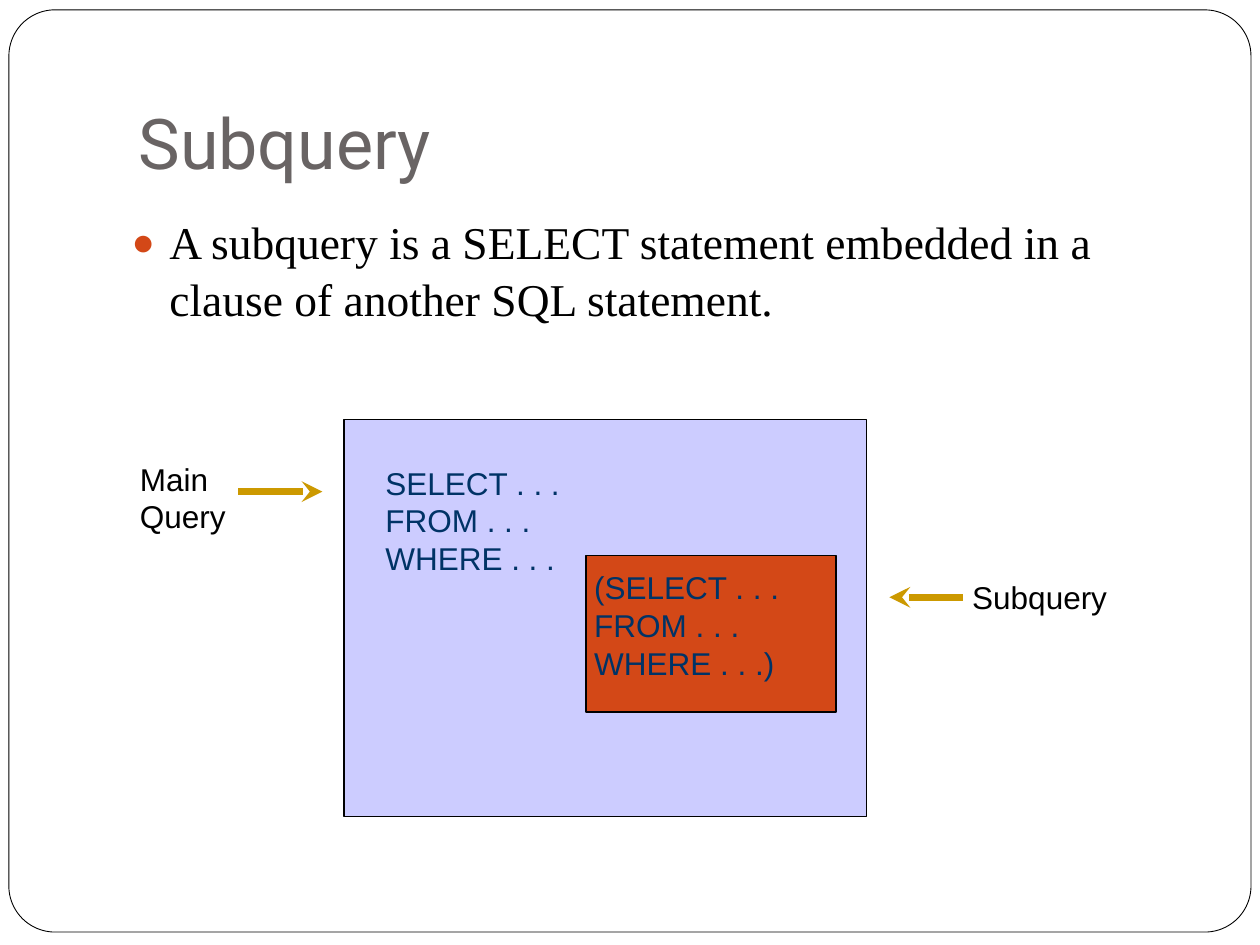
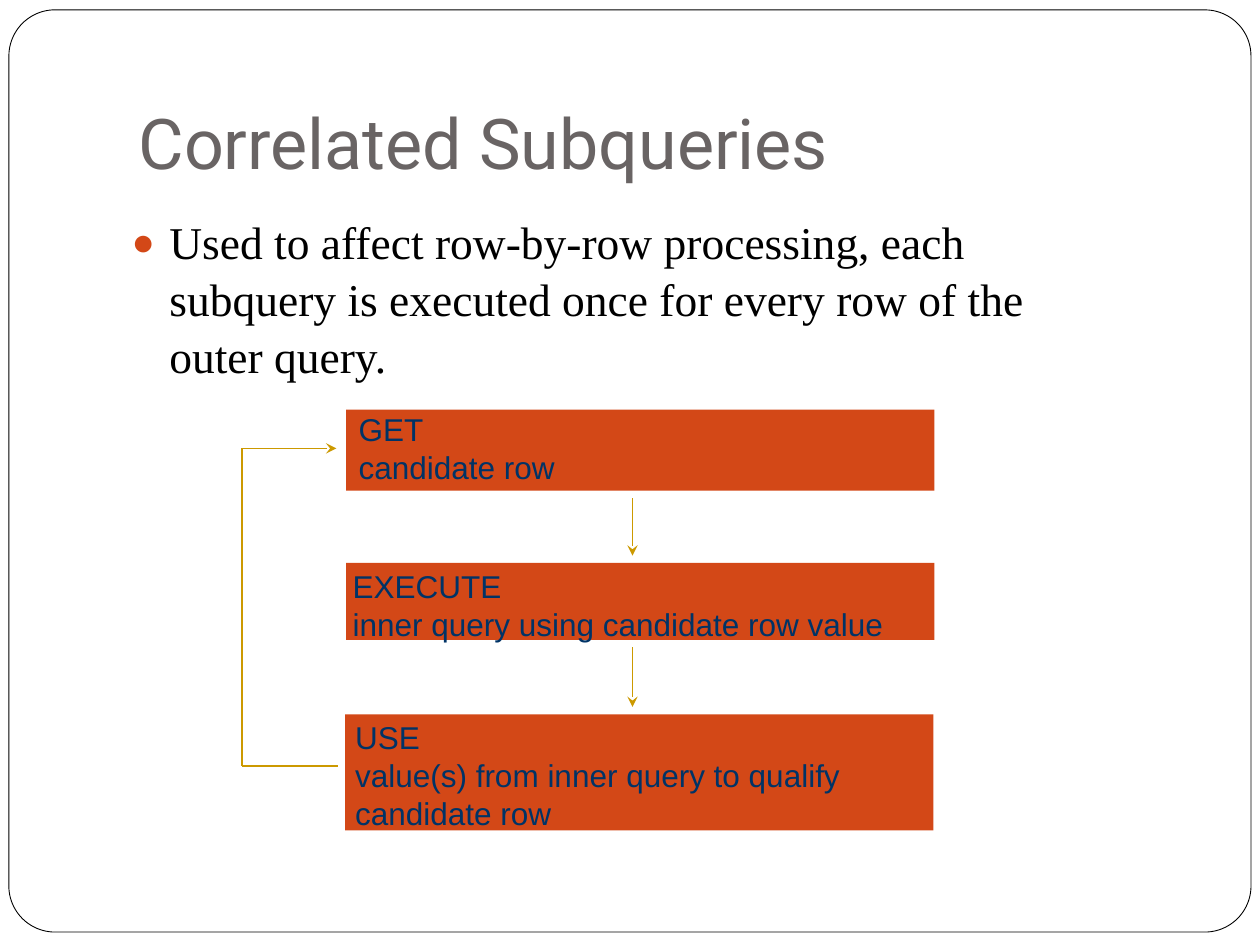
import dataclasses
import itertools

import lxml.etree
import pptx
import pptx.dml.color
import pptx.enum.shapes
import pptx.enum.text
import pptx.oxml.ns
import pptx.util

Cm = pptx.util.Cm
Pt = pptx.util.Pt


@dataclasses.dataclass(frozen=True)
class Theme:
    paper: str = "FFFFFF"
    ink: str = "000000"
    title: str = "696464"
    accent: str = "D34817"
    panel: str = "CCCCFF"
    code: str = "003366"
    arrow: str = "CC9900"
    title_font: str = "Roboto"
    body_font: str = "Times New Roman"
    label_font: str = "Arial"
    title_size: int = 40
    body_size: int = 26
    label_size: int = 18
    thin: float = 0.5
    line: int = 1
    thick: int = 4


THEME = Theme()

FRAME = (0.18, 0.2, 25.04, 18.59)
TITLE = (2.54, 0.76, 21.59, 3.18)
BODY = (2.4, 4.15, 20.55, 3.63)

SUBQUERY = {
    "title": "Subquery",
    "body": "A subquery is a SELECT statement embedded in a clause of another SQL statement.",
    "queries": [
        ((6.93, 8.46, 10.54, 8), THEME.panel,
         (7.52, 9.22, 4.24, 2.54), ["SELECT . . .", "FROM . . .", "WHERE . . ."]),
        ((11.81, 11.2, 5.05, 3.15), THEME.accent,
         (11.73, 11.33, 4.29, 2.54), ["(SELECT . . .", "FROM . . .", "WHERE . . .)"]),
    ],
    "labels": [
        ((2.57, 9.14, 2.34, 1.78), ["Main", "Query"]),
        ((19.35, 11.53, 3.43, 1.02), ["Subquery"]),
    ],
    "arrows": [((4.8, 9.91), (6.5, 9.91)), ((19.41, 12.04), (17.93, 12.04))],
}

CORRELATED = {
    "title": "Correlated Subqueries",
    "body": "Used to affect row-by-row processing, each subquery is executed once "
            "for every row of the outer query.",
    "bar_width": 11.86,
    "steps": [
        ((6.98, 8.26), 1.63, (6.98, 8.15), ["GET", "candidate row"]),
        ((6.98, 11.35), 1.55, (6.86, 11.3), ["EXECUTE", "inner query using candidate row value"]),
        ((6.96, 14.4), 2.34, (6.91, 14.35),
         ["USE", "value(s) from inner query to qualify candidate row"]),
    ],
    "arrow_x": 12.75,
    "arrow_gap": 0.15,
    "loop": [(6.81, 15.44), (4.88, 15.44), (4.88, 9.04), (6.78, 9.04)],
}


def rgb(color):
    return pptx.dml.color.RGBColor.from_string(color)


def cm(lengths):
    return [Cm(length) for length in lengths]


def style(frame, font, size, color):
    for para in frame.paragraphs:
        for span in para.runs:
            span.font.name = font
            span.font.size = Pt(size)
            span.font.color.rgb = rgb(color)


def add_block(page, place, fill, line=None, kind="RECTANGLE"):
    block = page.shapes.add_shape(pptx.enum.shapes.MSO_SHAPE[kind], *cm(place))
    block.shadow.inherit = False
    block.fill.solid()
    block.fill.fore_color.rgb = rgb(fill)
    if line:
        block.line.color.rgb = rgb(THEME.ink)
        block.line.width = Pt(line)
    else:
        block.line.fill.background()
    return block


def add_label(page, place, lines, color):
    box = page.shapes.add_textbox(*cm(place))
    box.text_frame.word_wrap = True
    box.text_frame.text = "\n".join(lines)
    style(box.text_frame, THEME.label_font, THEME.label_size, color)


def add_line(page, start, end, width, head=True):
    line = page.shapes.add_connector(pptx.enum.shapes.MSO_CONNECTOR.STRAIGHT, *cm(start + end))
    line.line.color.rgb = rgb(THEME.arrow)
    line.line.width = Pt(width)
    if head:
        tail = lxml.etree.SubElement(line.line._get_or_add_ln(), pptx.oxml.ns.qn("a:tailEnd"))
        tail.set("type", "stealth")
    lxml.etree.SubElement(line.element.spPr, pptx.oxml.ns.qn("a:effectLst"))


def place_text(holder, place, text):
    holder.left, holder.top, holder.width, holder.height = cm(place)
    holder.text_frame.text = text
    holder.text_frame.auto_size = pptx.enum.text.MSO_AUTO_SIZE.NONE
    para = holder.text_frame.paragraphs[0]
    para.alignment = pptx.enum.text.PP_ALIGN.LEFT
    return holder.text_frame, para


def add_bullet(para):
    props = para._p.get_or_add_pPr()
    props.set("marL", str(Cm(0.76)))
    props.set("indent", str(Cm(-0.76)))
    qn = pptx.oxml.ns.qn
    color = lxml.etree.SubElement(props, qn("a:buClr"))
    lxml.etree.SubElement(color, qn("a:srgbClr")).set("val", THEME.accent)
    lxml.etree.SubElement(props, qn("a:buSzPct")).set("val", "85000")
    lxml.etree.SubElement(props, qn("a:buChar")).set("char", "●")


def add_page(deck, content):
    page = deck.slides.add_slide(deck.slide_layouts[1])
    frame, para = place_text(page.shapes.title, TITLE, content["title"])
    frame.vertical_anchor = pptx.enum.text.MSO_ANCHOR.BOTTOM
    frame.margin_bottom = Cm(0.25)
    style(frame, THEME.title_font, THEME.title_size, THEME.title)

    frame, para = place_text(page.placeholders[1], BODY, content["body"])
    para.space_before = Pt(5.8)
    para.line_spacing = 1.04
    add_bullet(para)
    style(frame, THEME.body_font, THEME.body_size, THEME.ink)
    return page


def move_frame_to_layout(page):
    border = add_block(page, FRAME, THEME.paper, THEME.thin, "ROUNDED_RECTANGLE")
    border.adjustments[0] = 0.05
    page.slide_layout.shapes.element.insert(2, border.element)


def draw_subquery(page, content):
    for place, fill, text_place, lines in content["queries"]:
        add_block(page, place, fill, THEME.line)
        add_label(page, text_place, lines, THEME.code)
    for place, lines in content["labels"]:
        add_label(page, place, lines, THEME.ink)
    for start, end in content["arrows"]:
        add_line(page, start, end, THEME.thick)


def draw_correlated(page, content):
    width, x, gap = content["bar_width"], content["arrow_x"], content["arrow_gap"]
    for corner, height, text_corner, lines in content["steps"]:
        add_block(page, corner + (width, height), THEME.accent)
        add_label(page, text_corner + (width, height), lines, THEME.code)
    for upper, lower in itertools.pairwise(content["steps"]):
        bottom = upper[0][1] + upper[1]
        add_line(page, (x, bottom + gap), (x, lower[0][1] - gap), THEME.line)
    loop = content["loop"]
    for start, end in itertools.pairwise(loop):
        add_line(page, start, end, THEME.line, head=end == loop[-1])


def main():
    deck = pptx.Presentation()
    deck.slide_width, deck.slide_height = Cm(25.4), Cm(19.05)
    page = add_page(deck, SUBQUERY)
    move_frame_to_layout(page)
    draw_subquery(page, SUBQUERY)
    draw_correlated(add_page(deck, CORRELATED), CORRELATED)
    deck.save("out.pptx")


if __name__ == "__main__":
    main()
